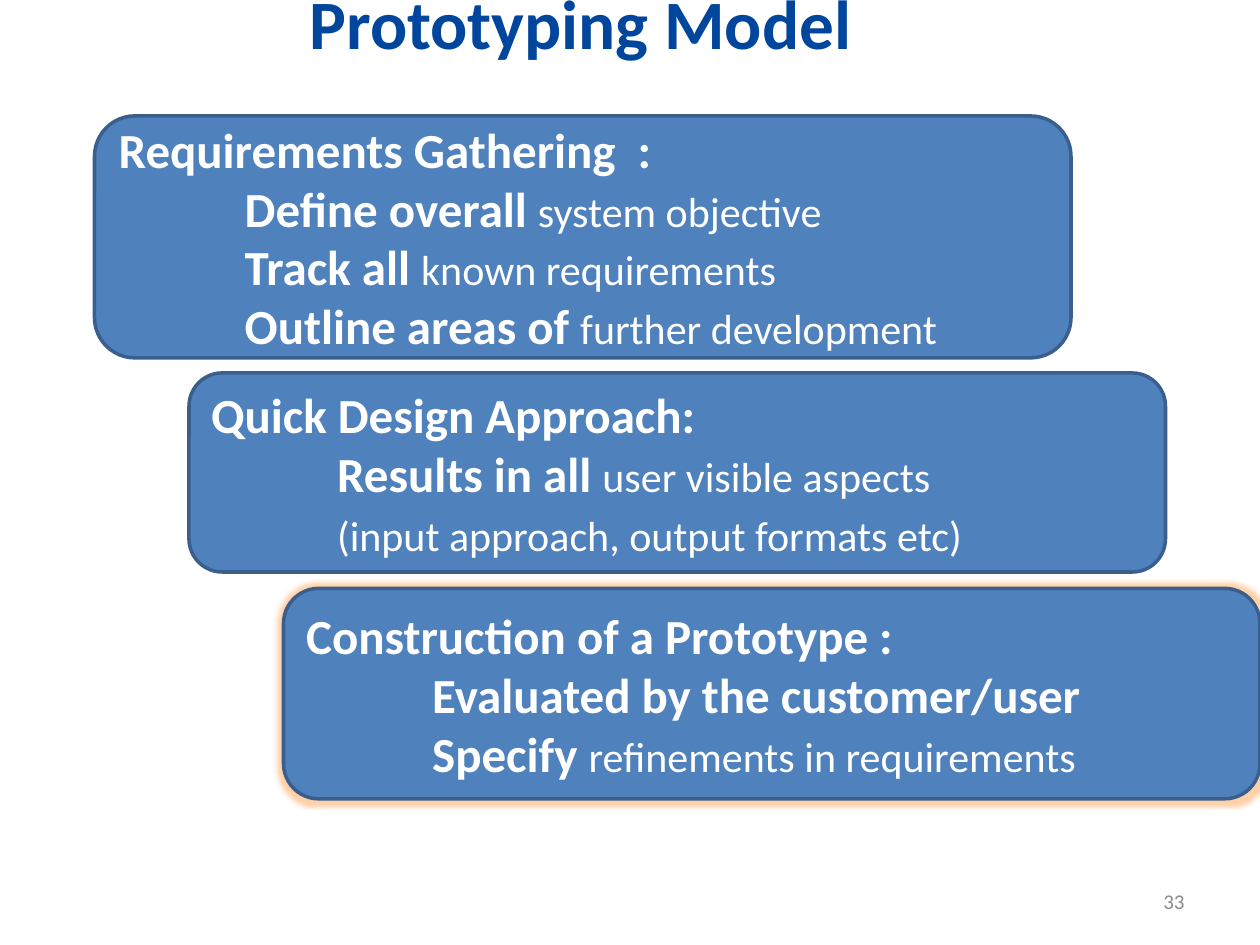
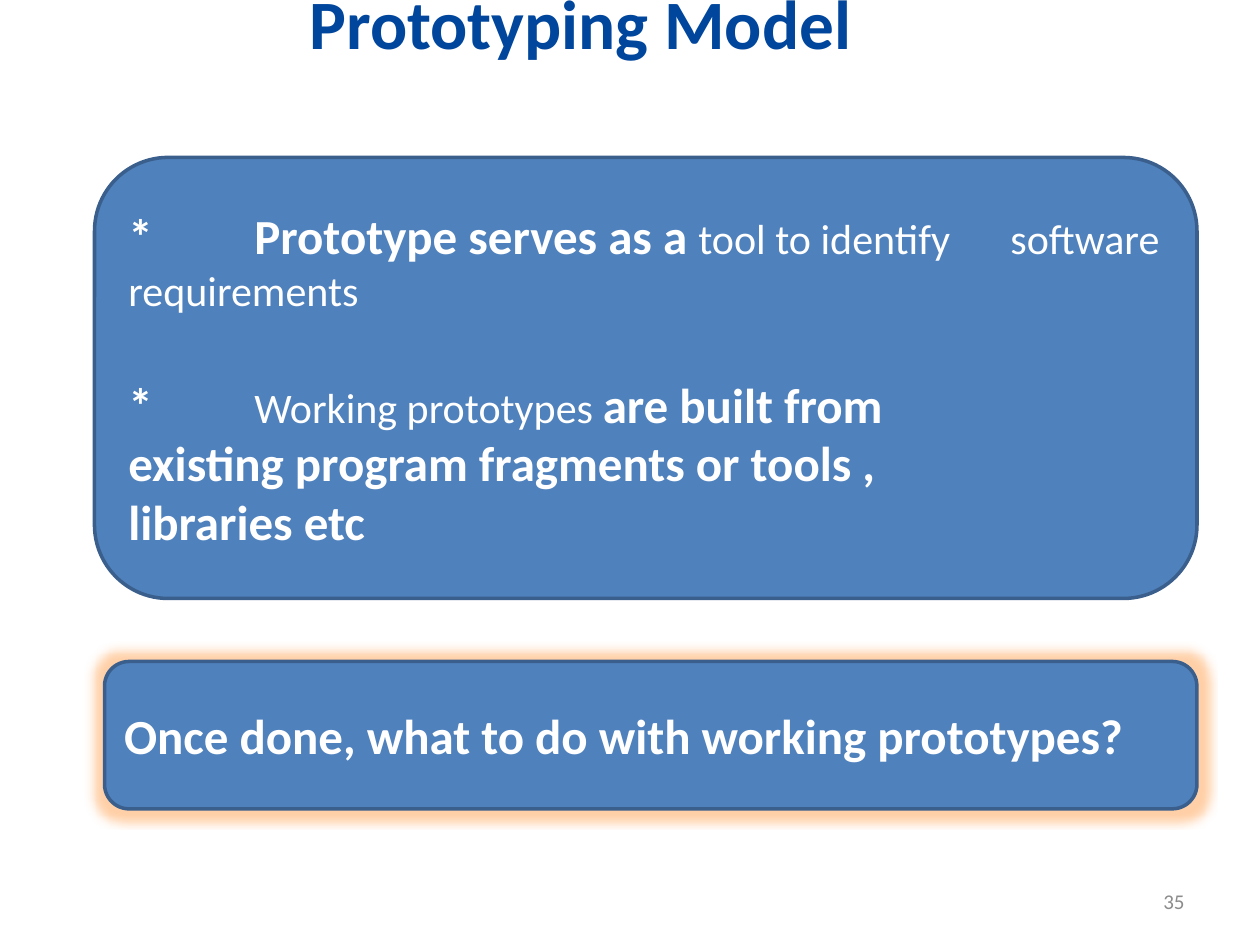
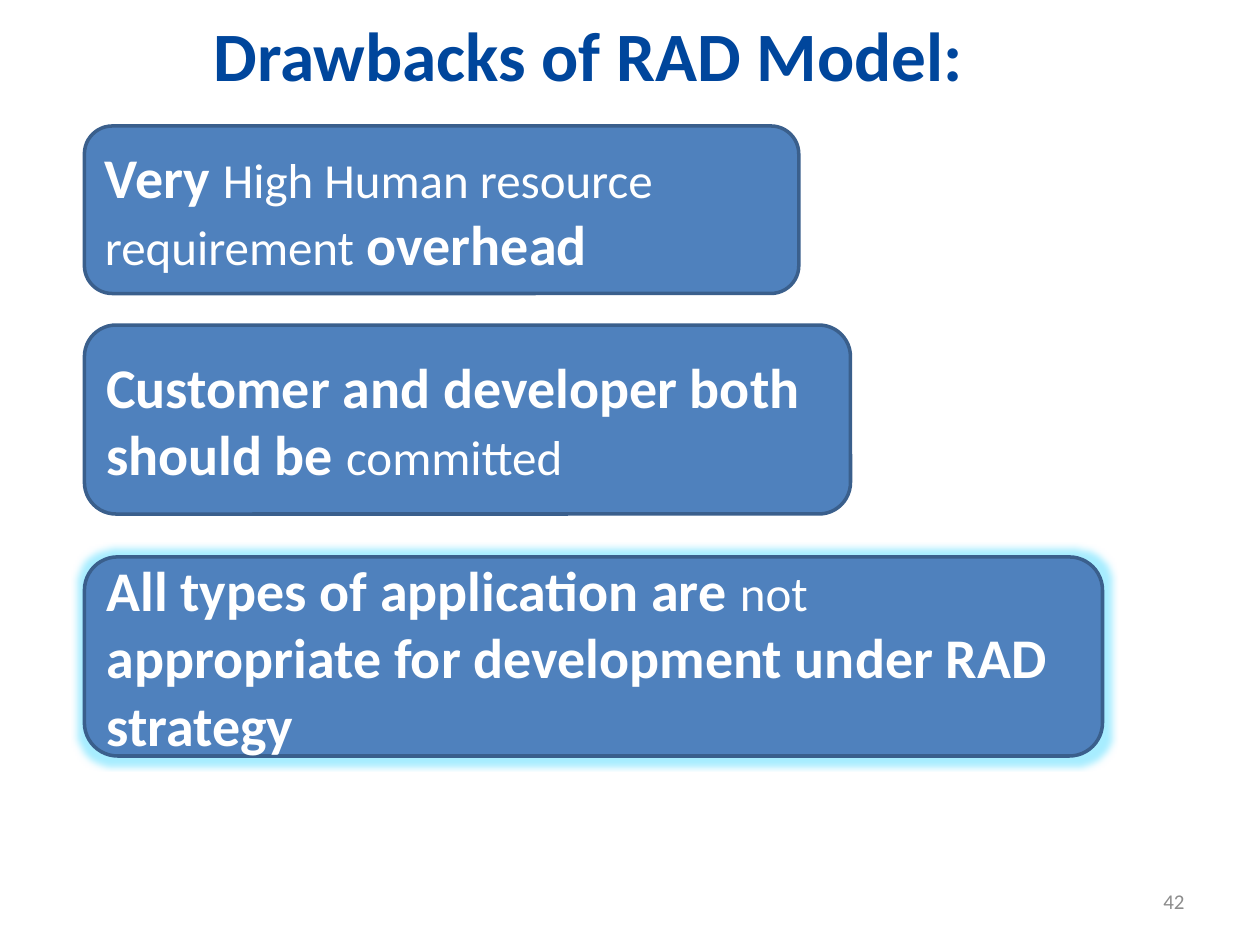
from dataclasses import dataclass
from typing import NamedTuple

from lxml import etree
from pptx import Presentation
from pptx.dml.color import RGBColor
from pptx.enum.shapes import MSO_SHAPE
from pptx.enum.text import MSO_ANCHOR, PP_ALIGN
from pptx.oxml.ns import qn
from pptx.util import Inches, Pt

FONT = "Calibri"
TITLE_BLUE = RGBColor(0x00, 0x46, 0x9C)
BOX_FILL = RGBColor(0x4F, 0x81, 0xBD)
BOX_LINE = RGBColor(0x3A, 0x5F, 0x8C)
WHITE = RGBColor(0xFF, 0xFF, 0xFF)
NUMBER_GRAY = RGBColor(0x8C, 0x8C, 0x8C)
ORANGE_GLOW = RGBColor(0xFF, 0x8A, 0x25)
CYAN_GLOW = RGBColor(0x25, 0xD2, 0xFF)
LIGHT_STEP = 4  # points by which light text is smaller than bold text
TAB_SIZE = Inches(1)


class Span(NamedTuple):
    text: str
    bold: bool = True


def light(text: str) -> Span:
    return Span(text, bold=False)


@dataclass(frozen=True)
class Para:
    spans: tuple[Span, ...]
    indent: float = 0
    space_before: float = 0


def line(*spans: Span, space_before: float = 0) -> Para:
    return Para(spans, space_before=space_before)


def detail(*spans: Span, space_before: float = 0) -> Para:
    return Para(spans, indent=1, space_before=space_before)


class Glow(NamedTuple):
    color: RGBColor
    radius: float


@dataclass(frozen=True)
class Box:
    left: float
    top: float
    width: float
    height: float
    paras: tuple[Para, ...]
    size: float = 28
    glow: Glow | None = None


@dataclass(frozen=True)
class Page:
    title: str
    number: int
    boxes: tuple[Box, ...]
    title_top: float = 0


PAGES = (
    Page("Prototyping Model ", 33, (
        Box(0.75, 0.92, 7.75, 1.92, (
            line(Span("Requirements Gathering  :")),
            detail(Span("Define overall "), light("system objective")),
            detail(Span("Track all "), light("known requirements")),
            detail(Span("Outline areas of "), light("further development")),
        )),
        Box(1.5, 2.96, 7.75, 1.58, (
            line(Span("Quick Design Approach:")),
            detail(Span("Results in all "), light("user visible aspects")),
            detail(light("(input approach, output formats etc)"), space_before=4),
        )),
        Box(2.25, 4.67, 7.75, 1.67, (
            line(Span("Construction of a Prototype :")),
            detail(Span("Evaluated by the customer/user")),
            detail(Span("Specify "), light("refinements in requirements")),
        ), glow=Glow(ORANGE_GLOW, 5)),
    )),
    Page("Prototyping Model ", 35, (
        Box(0.75, 1.25, 8.75, 3.5, (
            line(Span("*\tPrototype serves as a "), light("tool to identify"),
                 Span(" \t"), light("software requirements")),
            line(Span("*\t"), light("Working prototypes "),
                 Span("are built from\nexisting program fragments or tools ,\nlibraries etc"),
                 space_before=34),
        )),
        Box(0.83, 5.25, 8.67, 1.17, (
            line(Span("Once done, what to do with working prototypes?")),
        ), glow=Glow(ORANGE_GLOW, 11)),
    )),
    Page("Drawbacks of RAD Model:", 42, (
        Box(0.67, 1, 5.67, 1.33, (
            line(Span("Very "), light("High Human resource requirement"), Span(" overhead")),
        ), size=32),
        Box(0.67, 2.58, 6.08, 1.5, (
            line(Span("Customer and developer both should be "), light("committed")),
        ), size=32),
        Box(0.67, 4.42, 8.08, 1.58, (
            line(Span("All types of application are "), light("not"),
                 Span(" appropriate for development under RAD strategy")),
        ), size=32, glow=Glow(CYAN_GLOW, 8)),
    ), title_top=0.25),
)


def add_text(para, text: str, *, size: float, color: RGBColor, bold: bool = False) -> None:
    """Append formatted text to a paragraph; a newline becomes a line break."""
    for index, part in enumerate(text.split("\n")):
        if index:
            para.add_line_break()
        run = para.add_run()
        run.text = part
        run.font.name = FONT
        run.font.size = Pt(size)
        run.font.bold = bold
        run.font.color.rgb = color


def add_label(slide, text: str, left: float, top: float, width: float, height: float, *,
              align: PP_ALIGN, bottom_inset: float = 0.05, **text_format) -> None:
    frame = slide.shapes.add_textbox(
        Inches(left), Inches(top), Inches(width), Inches(height)).text_frame
    frame.word_wrap = True
    frame.vertical_anchor = MSO_ANCHOR.MIDDLE
    frame.margin_bottom = Inches(bottom_inset)
    para = frame.paragraphs[0]
    para.alignment = align
    add_text(para, text, **text_format)


def add_glow(shape, glow: Glow) -> None:
    effects = shape._element.spPr.find(qn("a:effectLst"))
    element = etree.SubElement(effects, qn("a:glow"), rad=str(int(Pt(glow.radius))))
    color = etree.SubElement(element, qn("a:srgbClr"), val=str(glow.color))
    etree.SubElement(color, qn("a:alpha"), val="40000")


def add_box(slide, box: Box) -> None:
    shape = slide.shapes.add_shape(
        MSO_SHAPE.ROUNDED_RECTANGLE,
        Inches(box.left), Inches(box.top), Inches(box.width), Inches(box.height))
    shape.shadow.inherit = False
    shape.fill.solid()
    shape.fill.fore_color.rgb = BOX_FILL
    shape.line.color.rgb = BOX_LINE
    shape.line.width = Pt(2)
    if box.glow:
        add_glow(shape, box.glow)

    frame = shape.text_frame
    frame.word_wrap = True
    frame.vertical_anchor = MSO_ANCHOR.MIDDLE
    for index, content in enumerate(box.paras):
        para = frame.add_paragraph() if index else frame.paragraphs[0]
        para.alignment = PP_ALIGN.LEFT
        para.space_before = Pt(content.space_before)
        properties = para._p.get_or_add_pPr()
        properties.set("marL", str(int(Inches(content.indent))))
        if any("\t" in span.text for span in content.spans):
            add_tab_stops(properties, int(box.width))
        for span in content.spans:
            size = box.size if span.bold else box.size - LIGHT_STEP
            add_text(para, span.text, size=size, color=WHITE, bold=span.bold)


def add_tab_stops(properties, count: int) -> None:
    """Set evenly spaced left tab stops across the box."""
    stops = etree.SubElement(properties, qn("a:tabLst"))
    for number in range(1, count):
        etree.SubElement(stops, qn("a:tab"), pos=str(int(TAB_SIZE * number)), algn="l")


def add_page(deck, page: Page) -> None:
    slide = deck.slides.add_slide(deck.slide_layouts[6])
    add_label(slide, page.title, 0.42, page.title_top, 8.5, 1, align=PP_ALIGN.CENTER,
              bottom_inset=0.7, size=39.6, color=TITLE_BLUE, bold=True)
    for box in page.boxes:
        add_box(slide, box)
    add_label(slide, str(page.number), 7.17, 6.95, 2.33, 0.4, align=PP_ALIGN.RIGHT,
              size=12, color=NUMBER_GRAY)


def main() -> None:
    deck = Presentation()
    deck.slide_width = Inches(10)
    deck.slide_height = Inches(7.5)
    for page in PAGES:
        add_page(deck, page)
    deck.save("out.pptx")


if __name__ == "__main__":
    main()
